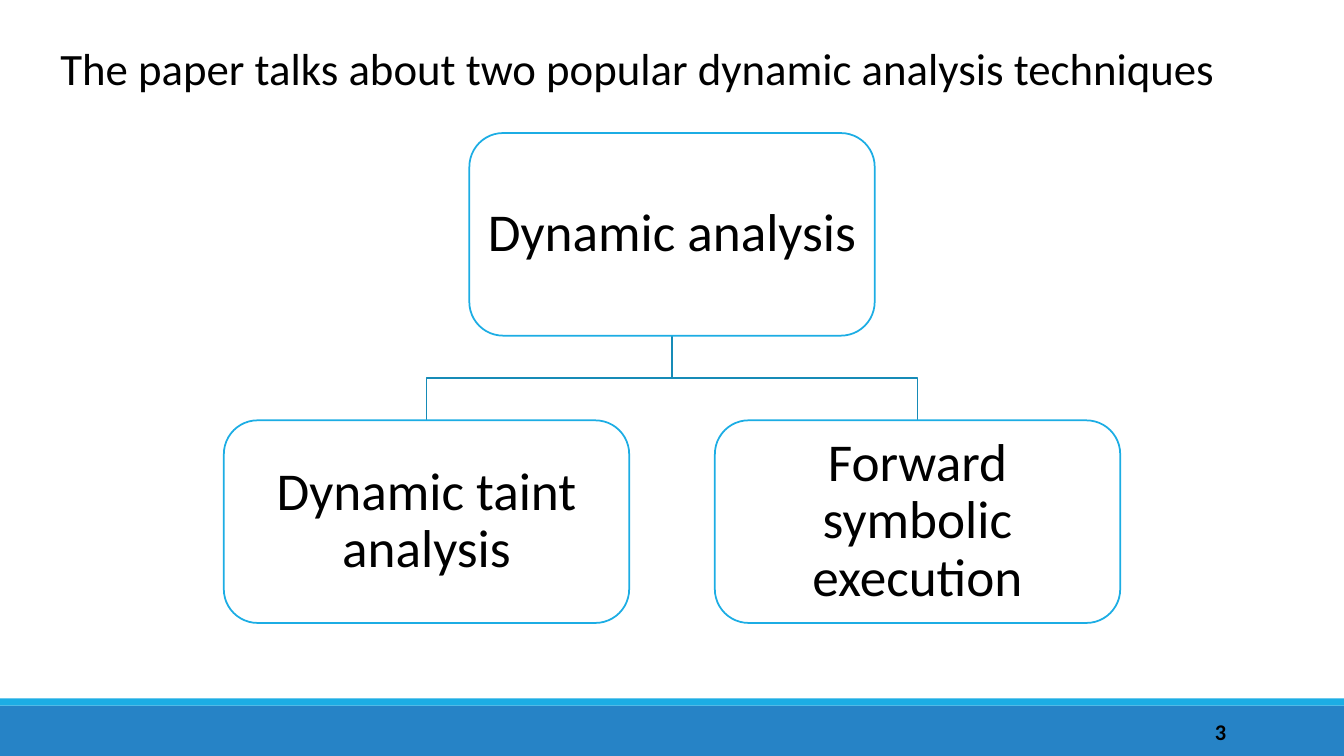
from pptx import Presentation
from pptx.dml.color import RGBColor
from pptx.enum.shapes import MSO_SHAPE as Shape
from pptx.enum.text import MSO_ANCHOR as Anchor, PP_ALIGN as Align
from pptx.util import Inches, Pt

BLACK = RGBColor(0x00, 0x00, 0x00)
WHITE = RGBColor(0xFF, 0xFF, 0xFF)
BLUE = RGBColor(0x26, 0x83, 0xC6)
CYAN = RGBColor(0x1C, 0xAD, 0xE4)
TEAL = RGBColor(0x16, 0x8B, 0xB7)
WIDE, HIGH = 13.33, 7.5
NODE_W, NODE_H = 4.02, 2.01


def write(shape, text, size=32, bold=False, align=Align.LEFT,
          anchor=Anchor.TOP, inset=None, spacing=None):
    """Put formatted text in a shape."""
    frame = shape.text_frame
    frame.word_wrap = True
    frame.vertical_anchor = anchor
    if inset is not None:
        frame.margin_left = frame.margin_right = Inches(inset)
        frame.margin_top = frame.margin_bottom = Inches(inset)
    para = frame.paragraphs[0]
    para.alignment = align
    para.line_spacing = spacing
    run = para.add_run()
    run.text = text
    font = run.font
    font.name, font.size, font.bold = "Calibri", Pt(size), bold
    font.color.rgb = BLACK


def label(slide, box, text, **style):
    """Add a text box."""
    write(slide.shapes.add_textbox(*map(Inches, box)), text, **style)


def block(slide, kind, box, fill, line=None):
    """Add a flat filled shape."""
    shape = slide.shapes.add_shape(kind, *map(Inches, box))
    shape.shadow.inherit = False
    shape.fill.solid()
    shape.fill.fore_color.rgb = fill
    if line is None:
        shape.line.fill.background()
    else:
        shape.line.color.rgb = line
        shape.line.width = Pt(1.25)
    return shape


def node(slide, left, top, text):
    """Add one rounded box of the tree."""
    shape = block(slide, Shape.ROUNDED_RECTANGLE,
                  (left, top, NODE_W, NODE_H), WHITE, CYAN)
    write(shape, text, size=38, align=Align.CENTER, anchor=Anchor.MIDDLE,
          inset=0.03, spacing=0.9)


def branch(slide, start, end):
    """Draw a bent line from parent to child."""
    (x, y), (to_x, to_y) = start, end
    mid = (y + to_y) / 2
    points = [(x, mid), (to_x, mid), (to_x, to_y)]
    path = slide.shapes.build_freeform(Inches(x), Inches(y))
    path.add_line_segments([tuple(map(Inches, p)) for p in points], close=False)
    line = path.convert_to_shape()
    line.shadow.inherit = False
    line.fill.background()
    line.line.color.rgb = TEAL
    line.line.width = Pt(1.25)


def tree(slide, box, root, leaves):
    """Draw a root above an even row of leaves."""
    left, top, width, height = box
    mid, low = left + width / 2, top + height - NODE_H
    step = (width - NODE_W) / (len(leaves) - 1)
    spots = [left + i * step for i in range(len(leaves))]
    for x in reversed(spots):
        branch(slide, (mid, top + NODE_H), (x + NODE_W / 2, low))
    node(slide, mid - NODE_W / 2, top, root)
    for x, text in zip(spots, leaves):
        node(slide, x, low, text)


def footer(slide, box, number):
    """Draw the bottom band with the page number."""
    left, top, width, height = box
    strip = 0.07
    block(slide, Shape.RECTANGLE,
          (left, top + strip, width, height - strip), BLUE)
    block(slide, Shape.RECTANGLE, (left, top, width, strip), CYAN)
    label(slide, (left + 10.83, top + 0.13, 1.43, 0.4), number,
          size=16, bold=True, align=Align.RIGHT, anchor=Anchor.MIDDLE)


def main():
    """Build and save the slide."""
    deck = Presentation()
    deck.slide_width, deck.slide_height = Inches(WIDE), Inches(HIGH)
    slide = deck.slides.add_slide(deck.slide_layouts[6])
    footer(slide, (0, 6.93, WIDE, 0.57), "3")
    tree(slide, (2.22, 1.32, 8.89, 4.86), "Dynamic analysis",
         ["Dynamic taint analysis", "Forward symbolic execution"])
    label(slide, (0.5, 0.35, 12.2, 0.64),
          "The paper talks about two popular dynamic analysis techniques")
    deck.save("out.pptx")


main()
